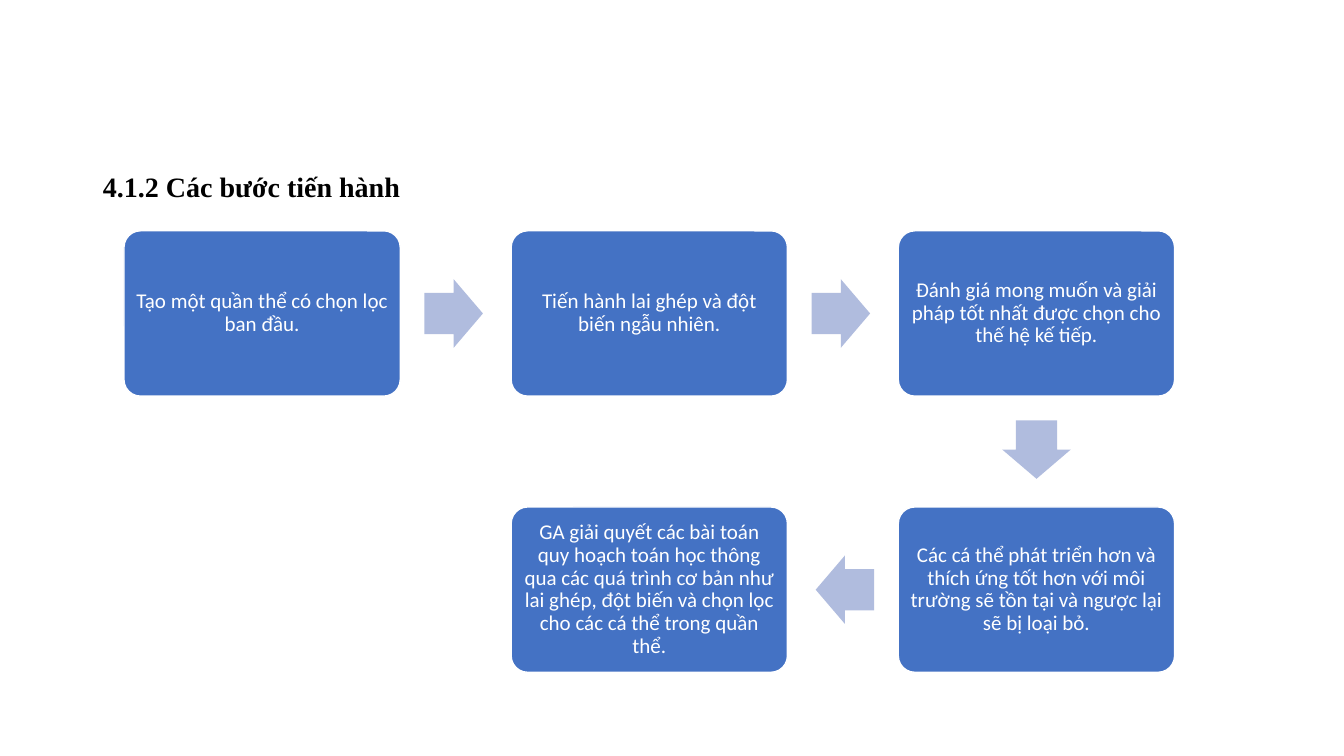
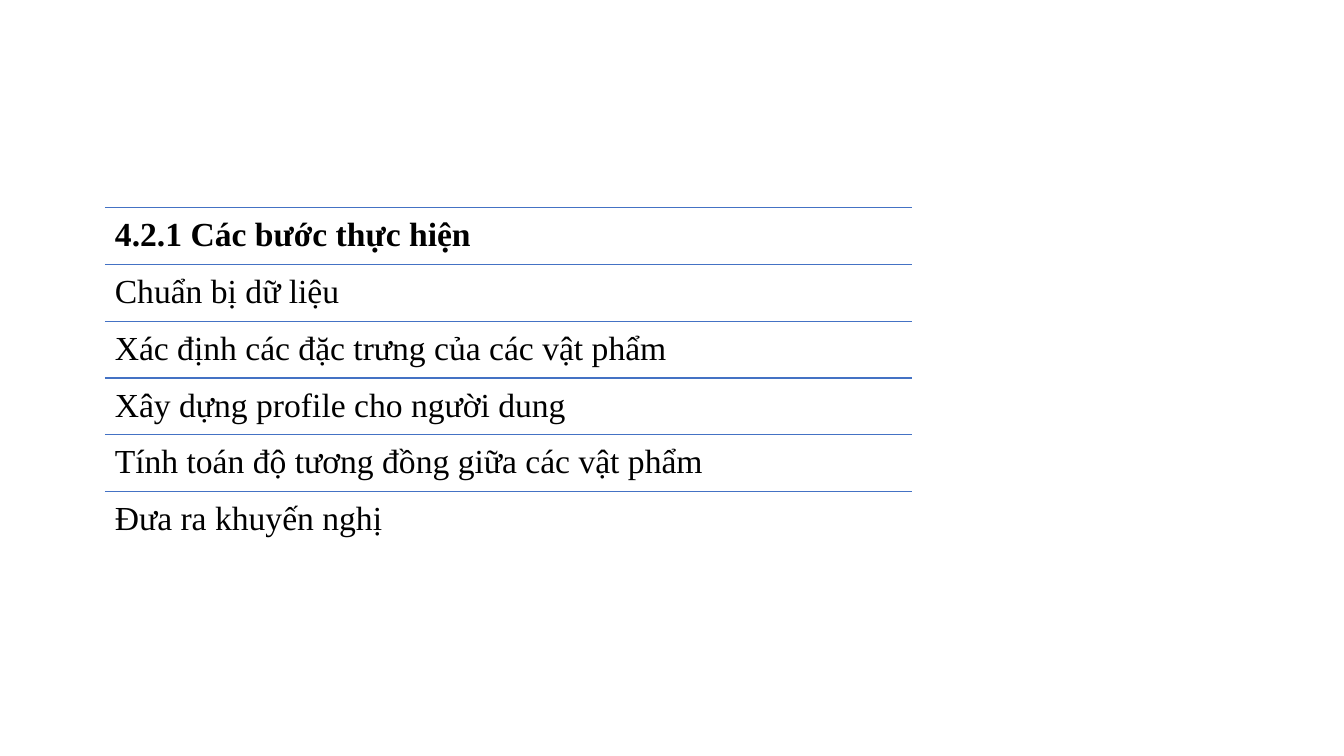
from itertools import pairwise

from lxml.etree import SubElement
from pptx import Presentation
from pptx.dml.color import RGBColor
from pptx.enum.shapes import MSO_CONNECTOR, MSO_SHAPE
from pptx.enum.text import MSO_ANCHOR, MSO_AUTO_SIZE, PP_ALIGN
from pptx.oxml.ns import qn
from pptx.util import Inches, Pt


def color(hex_string):
    return RGBColor.from_string(hex_string)


class Deck:
    BLUE = "4472C4"
    PALE_BLUE = "B0BCDE"
    WHITE = "FFFFFF"
    BLACK = "000000"
    HEADING_FONT = "Times New Roman"
    BOX_FONT = "Calibri"
    TITLE_ONLY = 5

    def __init__(self):
        self.presentation = Presentation()
        self.presentation.slide_width = Inches(13.33)
        self.presentation.slide_height = Inches(7.5)
        self.slide = None

    def add_slide(self):
        layout = self.presentation.slide_layouts[self.TITLE_ONLY]
        self.slide = self.presentation.slides.add_slide(layout)

    def set_text(self, shape, text, size, font, font_color, bold=False,
                 align=PP_ALIGN.LEFT, anchor=MSO_ANCHOR.TOP,
                 inset=(0.1, 0.1), line_spacing=0.9):
        """Fill a shape with one paragraph; inset is (horizontal, vertical)."""
        frame = shape.text_frame
        frame.text = text
        frame.word_wrap = True
        frame.auto_size = MSO_AUTO_SIZE.NONE
        frame.vertical_anchor = anchor
        frame.margin_left = frame.margin_right = Inches(inset[0])
        frame.margin_top = frame.margin_bottom = Inches(inset[1])
        paragraph = frame.paragraphs[0]
        paragraph.alignment = align
        paragraph.line_spacing = line_spacing
        run_font = paragraph.runs[0].font
        run_font.name = font
        run_font.size = Pt(size)
        run_font.bold = bold
        run_font.color.rgb = color(font_color)

    def title(self, text, left, top, width, height, size, **layout):
        shape = self.slide.shapes.title
        shape.left, shape.top = Inches(left), Inches(top)
        shape.width, shape.height = Inches(width), Inches(height)
        self.set_text(shape, text, size, self.HEADING_FONT, self.BLACK,
                      bold=True, **layout)

    def text(self, text, left, top, width, height, size):
        shape = self.slide.shapes.add_textbox(
            Inches(left), Inches(top), Inches(width), Inches(height))
        self.set_text(shape, text, size, self.HEADING_FONT, self.BLACK)

    def shape(self, kind, center, width, height, fill):
        """Add a plain filled shape around a center point."""
        shape = self.slide.shapes.add_shape(
            kind, Inches(center[0] - width / 2), Inches(center[1] - height / 2),
            Inches(width), Inches(height))
        shape.shadow.inherit = False
        shape.fill.solid()
        shape.fill.fore_color.rgb = color(fill)
        shape.line.fill.background()
        return shape

    def box(self, text, center, width, height):
        shape = self.shape(MSO_SHAPE.ROUNDED_RECTANGLE, center, width, height,
                           self.BLUE)
        shape.adjustments[0] = 0.1
        shape.line.color.rgb = color(self.WHITE)
        shape.line.width = Pt(1)
        self.set_text(shape, text, 15, self.BOX_FONT, self.WHITE,
                      align=PP_ALIGN.CENTER, anchor=MSO_ANCHOR.MIDDLE,
                      inset=(0.06, 0.06))

    def arrow(self, center, rotation):
        shape = self.shape(MSO_SHAPE.RIGHT_ARROW, center, 0.58, 0.68,
                           self.PALE_BLUE)
        shape.adjustments[0] = 0.6
        shape.adjustments[1] = 0.5
        shape.rotation = rotation

    def rule(self, left, top, width):
        connector = self.slide.shapes.add_connector(
            MSO_CONNECTOR.STRAIGHT, Inches(left), Inches(top),
            Inches(left + width), Inches(top))
        connector.line.color.rgb = color(self.BLUE)
        connector.line.width = Pt(1)
        SubElement(connector.element.spPr, qn("a:effectLst"))


def sign(number):
    return (number > 0) - (number < 0)


def add_process_slide(deck):
    # Each step: column, row, text
    steps = [
        (0, 0, "Tạo một quần thể có chọn lọc ban đầu."),
        (1, 0, "Tiến hành lai ghép và đột biến ngẫu nhiên."),
        (2, 0, "Đánh giá mong muốn và giải pháp tốt nhất được chọn cho "
               "thế hệ kế tiếp."),
        (2, 1, "Các cá thể phát triển hơn và thích ứng tốt hơn với môi "
               "trường sẽ tồn tại và ngược lại sẽ bị loại bỏ."),
        (1, 1, "GA giải quyết các bài toán quy hoạch toán học thông qua các "
               "quá trình cơ bản như lai ghép, đột biến và chọn lọc cho các "
               "cá thể trong quần thể."),
    ]
    box_width, box_height = 2.74, 1.64
    first_x, first_y = 2.6, 3.11
    column_step, row_step = 3.84, 2.74
    arrow_offset = 0.53  # from the box edge to the arrow's center
    rotations = {(1, 0): 0, (0, 1): 90, (-1, 0): 180}

    deck.add_slide()
    deck.title("4.1.2 Các bước tiến hành", 0.92, 1.63, 4.14, 0.44, 20,
               inset=(0.1, 0.05), line_spacing=1.0)
    centers = [(first_x + column * column_step, first_y + row * row_step)
               for column, row, _ in steps]
    for (_, _, text), center in zip(steps, centers):
        deck.box(text, center, box_width, box_height)
    for (x, y), (next_x, next_y) in pairwise(centers):
        across, down = sign(next_x - x), sign(next_y - y)
        arrow_center = (x + across * (box_width / 2 + arrow_offset),
                        y + down * (box_height / 2 + arrow_offset))
        deck.arrow(arrow_center, rotations[across, down])


def add_steps_slide(deck):
    rows = [
        "4.2.1 Các bước thực hiện",
        "Chuẩn bị dữ liệu",
        "Xác định các đặc trưng của các vật phẩm",
        "Xây dựng profile cho người dung",
        "Tính toán độ tương đồng giữa các vật phẩm",
        "Đưa ra khuyến nghị",
    ]
    left, top, width, height = 1.04, 2.06, 8.01, 3.38
    row_height = height / len(rows)

    deck.add_slide()
    for index, text in enumerate(rows):
        row_top = top + index * row_height
        deck.rule(left, row_top, width)
        add_row = deck.text if index else deck.title
        add_row(text, left, row_top, width, row_height, 24)


def main():
    deck = Deck()
    add_process_slide(deck)
    add_steps_slide(deck)
    deck.presentation.save("out.pptx")


if __name__ == "__main__":
    main()
